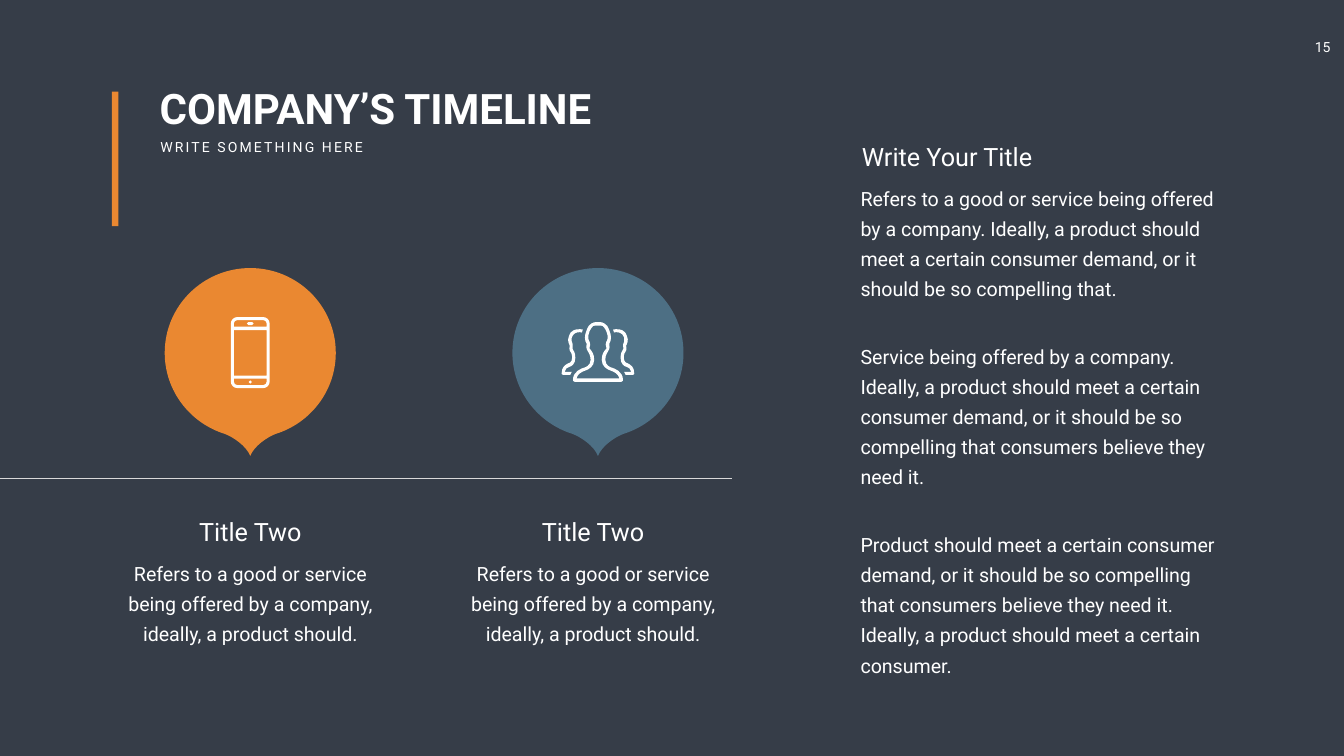
from dataclasses import dataclass
from lxml import etree
from pptx import Presentation
from pptx.dml.color import RGBColor
from pptx.enum.shapes import MSO_CONNECTOR, MSO_SHAPE
from pptx.enum.text import PP_ALIGN
from pptx.oxml.ns import qn
from pptx.util import Cm, Pt

LEFT, CENTER = PP_ALIGN.LEFT, PP_ALIGN.CENTER
RECT, STRAIGHT = MSO_SHAPE.RECTANGLE, MSO_CONNECTOR.STRAIGHT


@dataclass(frozen=True)
class Theme:
    font: str = "Roboto"
    background: RGBColor = RGBColor(0x36, 0x3D, 0x48)
    white: RGBColor = RGBColor(0xFF, 0xFF, 0xFF)
    orange: RGBColor = RGBColor(0xEA, 0x88, 0x31)
    blue: RGBColor = RGBColor(0x4D, 0x6F, 0x84)
    rule: RGBColor = RGBColor(0xD9, 0xD9, 0xD9)
    headline: int = 60
    title: int = 36
    body: int = 28
    small: int = 20
    leading: int = 43
    paragraph_gap: int = 54


THEME = Theme()

# Right halves of symmetric outlines, in cm from the centre line.
# Each is a start point, then segments of one point (line) or three (Bezier curve).
PIN = ((0, 0), [
    ((2.38, 0), (4.31, 1.91), (4.31, 4.27)), ((4.31, 6.2), (3.02, 7.82), (1.28, 8.36)),
    ((0.88, 8.51), (0.2, 8.95), (0, 9.47))])
PERSON_OUTER = ((0, 0), [
    ((0.19, 0), (0.27, 0.03), (0.34, 0.08)), ((0.44, 0.13), (0.5, 0.23), (0.57, 0.41)),
    ((0.7, 0.71), (0.67, 0.94), (0.57, 1.09)), ((0.62, 1.37), (0.52, 1.45), (0.52, 1.45)),
    ((0.5, 1.52), (0.37, 1.63), (0.37, 1.91)), ((0.37, 2.21), (0.67, 2.29), (0.67, 2.29)),
    ((0.85, 2.34), (1.26, 2.49), (1.26, 2.92)), ((1.26, 2.92), (1.26, 3.02), (1.16, 3.02))])
PERSON_INNER = ((0, 0.18), [
    ((0.14, 0.17), (0.2, 0.19), (0.24, 0.2)), ((0.29, 0.25), (0.34, 0.3), (0.42, 0.46)),
    ((0.55, 0.76), (0.47, 0.94), (0.42, 0.99)), ((0.39, 1.04), (0.39, 1.09), (0.39, 1.14)),
    ((0.44, 1.27), (0.42, 1.35), (0.42, 1.35)), ((0.42, 1.35), (0.39, 1.37), (0.37, 1.4)),
    ((0.32, 1.47), (0.19, 1.6), (0.19, 1.91)), ((0.19, 2.24), (0.47, 2.39), (0.62, 2.44)),
    ((0.83, 2.51), (1.03, 2.62), (1.08, 2.84))])
# A whole outline of the person standing behind on the right
PERSON_BEHIND = ((1.5, 2.08), [
    ((1.5, 2.08), (1.3, 2.06), (1.3, 1.8)), ((1.3, 1.6), (1.37, 1.52), (1.4, 1.47)),
    ((1.4, 1.47), (1.47, 1.4), (1.42, 1.19)), ((1.47, 1.09), (1.55, 0.91), (1.47, 0.74)),
    ((1.4, 0.53), (1.35, 0.48), (1.22, 0.41)), ((1.17, 0.38), (1.04, 0.36), (0.91, 0.36)),
    ((0.86, 0.36), (0.81, 0.36), (0.76, 0.38)), ((0.79, 0.43), (0.79, 0.48), (0.81, 0.53)),
    ((0.84, 0.51), (0.89, 0.51), (0.91, 0.51)), ((1.02, 0.51), (1.09, 0.53), (1.14, 0.56)),
    ((1.22, 0.61), (1.24, 0.61), (1.32, 0.79)), ((1.37, 0.89), (1.3, 1.04), (1.27, 1.12)),
    ((1.27, 1.14), (1.24, 1.19), (1.27, 1.22)), ((1.3, 1.32), (1.27, 1.37), (1.27, 1.37)),
    ((1.22, 1.45), (1.14, 1.55), (1.14, 1.8)), ((1.14, 2.11), (1.32, 2.24), (1.45, 2.26)),
    ((1.55, 2.29), (1.65, 2.36), (1.68, 2.51)), ((1.32, 2.51),),
    ((1.35, 2.57), (1.37, 2.62), (1.4, 2.67)), ((1.75, 2.67),),
    ((1.83, 2.67), (1.83, 2.59), (1.83, 2.59)), ((1.83, 2.26), (1.65, 2.16), (1.5, 2.08))])

SERVICE = "Refers to a good or service being offered by a company, ideally, a product should."
STORY = [
    "Refers to a good or service being offered by a company. Ideally, a product should "
    "meet a certain consumer demand, or it should be so compelling that.",
    "Service being offered by a company. Ideally, a product should meet a certain "
    "consumer demand, or it should be so compelling that consumers believe they need it.",
    "Product should meet a certain consumer demand, or it should be so compelling that "
    "consumers believe they need it. Ideally, a product should meet a certain consumer."]


def flip(outline):
    start, segments = outline
    return (-start[0], start[1]), [tuple((-x, y) for x, y in part) for part in segments]


def mirrored(half):
    """Close a right half with its reflection, walked backwards."""
    start, segments = flip(half)
    begins = [start] + [part[-1] for part in segments]
    back = [part[-2::-1] + (begin,) if len(part) > 1 else (begin,)
            for begin, part in zip(begins, segments)]
    bridge = [(segments[-1][-1],)] if segments[-1][-1][0] else []
    return half[0], half[1] + bridge + back[::-1]


def rounded_box(half_width, top, bottom, upper=0, lower=0):
    """A box on the centre line with its own radius for upper and lower corners."""
    segments = []
    if upper:
        knee = upper * 0.45
        segments.append(((half_width - knee, top), (half_width, top + knee),
                         (half_width, top + upper)))
    segments.append(((half_width, bottom - lower),))
    if lower:
        knee = lower * 0.45
        segments.append(((half_width, bottom - knee), (half_width - knee, bottom),
                         (half_width - lower, bottom)))
    return mirrored(((half_width - upper, top), segments))


def add_outline(slide, center, top, outlines, color):
    """One freeform from several closed outlines; three-point segments become curves."""
    def place(point):
        return Cm(center + point[0]), Cm(top + point[1])

    builder = slide.shapes.build_freeform(*place(outlines[0][0]), scale=1.0)
    for index, (start, segments) in enumerate(outlines):
        if index:
            builder.move_to(*place(start))
        builder.add_line_segments([place(p) for part in segments for p in part], close=True)
    shape = builder.convert_to_shape()
    lines = iter(list(shape._element.iter(qn("a:lnTo"))))
    for part in (part for _, segments in outlines for part in segments):
        steps = [next(lines) for _ in part]
        if len(steps) == 3:
            curve = etree.Element(qn("a:cubicBezTo"))
            steps[0].addprevious(curve)
            for step in steps:
                curve.append(step[0])
                step.getparent().remove(step)
    paint(shape, color)


def paint(shape, color):
    shape.shadow.inherit = False
    shape.fill.solid()
    shape.fill.fore_color.rgb = color
    shape.line.fill.background()


def add_text(slide, box, texts, size, align=LEFT, bold=False, wrap=True, tracking=0,
             leading=None, insets=(0.25, 0.13)):
    frame = slide.shapes.add_textbox(*map(Cm, box)).text_frame
    frame.word_wrap = wrap
    frame.margin_left = frame.margin_right = Cm(insets[0])
    frame.margin_top = frame.margin_bottom = Cm(insets[1])
    frame.text = "\n".join(texts)
    for index, paragraph in enumerate(frame.paragraphs):
        paragraph.alignment = align
        if leading:
            paragraph.line_spacing = Pt(leading)
        if index:
            paragraph.space_before = Pt(THEME.paragraph_gap)
        for run in paragraph.runs:
            run.font.name = THEME.font
            run.font.size = Pt(size)
            run.font.bold = bold
            run.font.color.rgb = THEME.white
            if tracking:
                run._r.get_or_add_rPr().set("spc", str(tracking * 100))


def add_header(slide, left, top):
    accent = slide.shapes.add_shape(RECT, Cm(left), Cm(top), Cm(0.33), Cm(6.78))
    paint(accent, THEME.orange)
    add_text(slide, (left + 2.16, top - 0.58, 26.39, 2.82), ["COMPANY’S TIMELINE"],
             THEME.headline, bold=True)
    add_text(slide, (left + 2.19, top + 2.24, 11.05, 1.12), ["WRITE SOMETHING HERE"],
             THEME.small, wrap=False, tracking=3)


def add_article(slide, left, top, width, height, title, paragraphs, align=LEFT, indent=0.48):
    """A title above body text."""
    add_text(slide, (left + indent, top, width - 2 * indent, 1.8), [title], THEME.title, align)
    add_text(slide, (left, top + 1.8, width, height - 1.8), paragraphs, THEME.body, align,
             leading=THEME.leading, insets=(0.61, 0.3))


def add_phone(slide, center, top):
    add_outline(slide, center, top, [
        rounded_box(0.98, 0, 3.58, 0.33, 0.33),
        rounded_box(0.83, 0.15, 0.48, upper=0.18),
        rounded_box(0.83, 0.66, 2.95),
        rounded_box(0.83, 3.1, 3.43, lower=0.18),
        rounded_box(0.17, 0.25, 0.41, 0.08, 0.08),
        rounded_box(0.08, 3.19, 3.35, 0.08, 0.08)], THEME.white)


def add_people(slide, center, top):
    add_outline(slide, center, top + 0.25, [
        mirrored(PERSON_OUTER), mirrored(PERSON_INNER),
        PERSON_BEHIND, flip(PERSON_BEHIND)], THEME.white)


def add_timeline(slide, left, top):
    y = Cm(top + 10.59)
    axis = slide.shapes.add_connector(STRAIGHT, Cm(0), y, Cm(36.86), y)
    axis.line.color.rgb = THEME.rule
    axis.line.width = Pt(0.5)
    etree.SubElement(axis._element.spPr, qn("a:effectLst"))
    milestones = [(THEME.orange, add_phone), (THEME.blue, add_people)]
    for index, (color, add_icon) in enumerate(milestones):
        pin_center = left + 7.45 + index * 17.52
        add_outline(slide, pin_center, top, [mirrored(PIN)], color)
        add_icon(slide, pin_center, top + 2.47)
        add_article(slide, left + index * 17.27, top + 12.38, 14.91, 6.84,
                    "Title Two", [SERVICE], CENTER)


def main():
    deck = Presentation()
    deck.slide_width, deck.slide_height = Cm(67.72), Cm(38.1)
    slide = deck.slides.add_slide(deck.slide_layouts[6])
    slide.background.fill.solid()
    slide.background.fill.fore_color.rgb = THEME.background

    # Page number
    add_text(slide, (65.57, 1.7, 2.15, 1.37), ["15"], THEME.small, CENTER,
             wrap=False, insets=(0.51, 0.25))
    # Heading, milestones and side story
    add_header(slide, 5.64, 4.62)
    add_timeline(slide, 5.16, 13.51)
    add_article(slide, 42.75, 6.97, 19.81, 26.21, "Write Your Title", STORY, indent=0.43)

    deck.save("out.pptx")


if __name__ == "__main__":
    main()
